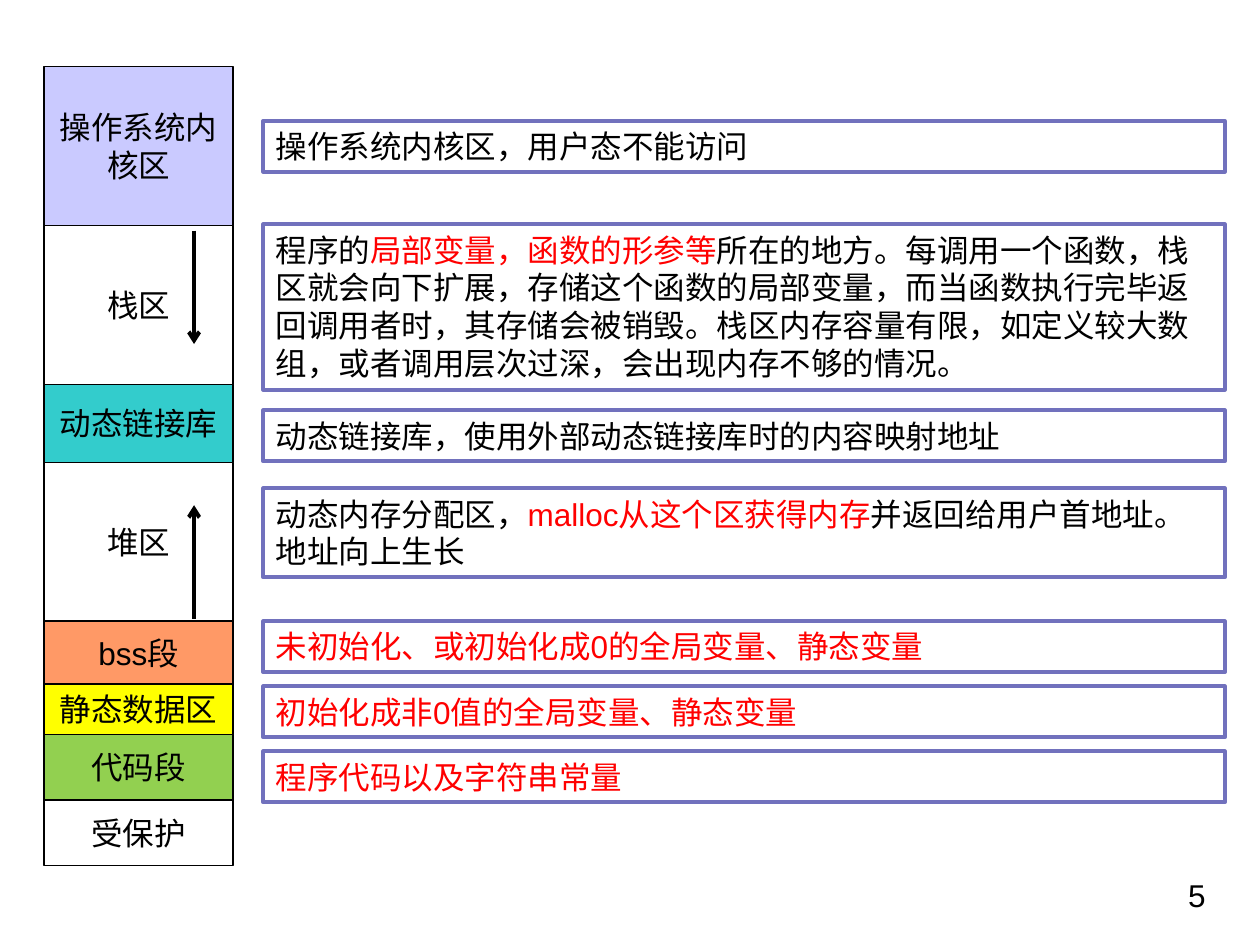
import pptx
import pptx.dml.color
import pptx.enum.shapes
import pptx.enum.text
import pptx.oxml.ns
import pptx.util
from lxml import etree

Pt = pptx.util.Pt
RGBColor = pptx.dml.color.RGBColor
Align = pptx.enum.text.PP_ALIGN
Anchor = pptx.enum.text.MSO_ANCHOR
AutoSize = pptx.enum.text.MSO_AUTO_SIZE
qn = pptx.oxml.ns.qn

BLACK = RGBColor(0x00, 0x00, 0x00)
WHITE = RGBColor(0xFF, 0xFF, 0xFF)
RED = RGBColor(0xFF, 0x00, 0x00)
LAVENDER = RGBColor(0xCA, 0xCA, 0xFF)
TEAL = RGBColor(0x33, 0xCC, 0xCC)
ORANGE = RGBColor(0xFF, 0x99, 0x66)
YELLOW = RGBColor(0xFF, 0xFF, 0x00)
GREEN = RGBColor(0x92, 0xD0, 0x50)
VIOLET = RGBColor(0x71, 0x71, 0xBD)

MEMORY_LEFT, MEMORY_TOP, MEMORY_WIDTH = 25.2, 38.16, 108
NOTE_LEFT, NOTE_WIDTH = 150.5, 549.4
ARROW_X = 110.9

SEGMENTS = [
    ("操作系统内核区", 90.72, LAVENDER),
    ("栈区", 90.72, WHITE),
    ("动态链接库", 44.64, TEAL),
    ("堆区", 90.72, WHITE),
    ("bss段", 36, ORANGE),
    ("静态数据区", 28.8, YELLOW),
    ("代码段", 37.44, GREEN),
    ("受保护", 37.44, WHITE),
]

NOTES = [
    (69.1, 29.1, [("操作系统内核区，用户态不能访问", BLACK)]),
    (128.2, 94.5, [
        ("程序的", BLACK),
        ("局部变量，函数的形参等", RED),
        ("所在的地方。每调用一个函数，栈区就会向下扩展，存储这个函数的局部变量，"
         "而当函数执行完毕返回调用者时，其存储会被销毁。栈区内存容量有限，"
         "如定义较大数组，或者调用层次过深，会出现内存不够的情况。", BLACK),
    ]),
    (234.5, 29.1, [("动态链接库，使用外部动态链接库时的内容映射地址", BLACK)]),
    (279.1, 50.9, [
        ("动态内存分配区，", BLACK),
        ("malloc从这个区获得内存", RED),
        ("并返回给用户首地址。地址向上生长", BLACK),
    ]),
    (355, 29.1, [("未初始化、或初始化成0的全局变量、静态变量", RED)]),
    (392.2, 29.1, [("初始化成非0值的全局变量、静态变量", RED)]),
    (429.4, 29.1, [("程序代码以及字符串常量", RED)]),
]


def write_text(frame, runs, *, size, font, align=Align.LEFT,
               anchor=Anchor.TOP, auto_size=AutoSize.NONE):
    frame.word_wrap = True
    frame.auto_size = auto_size
    frame.vertical_anchor = anchor
    paragraph = frame.paragraphs[0]
    paragraph.alignment = align
    for words, color in runs:
        run = paragraph.add_run()
        run.text = words
        run.font.name = font
        run.font.size = Pt(size)
        run.font.color.rgb = color


class MemorySlide:
    font = "Arial"
    size = 18
    thin, thick = 0.75, 2.25

    def __init__(self, slide):
        self.shapes = slide.shapes

    def rectangle(self, left, top, width, height, line_color, line_width):
        box = self.shapes.add_shape(
            pptx.enum.shapes.MSO_SHAPE.RECTANGLE,
            Pt(left), Pt(top), Pt(width), Pt(height))
        box.shadow.inherit = False
        box.line.color.rgb = line_color
        box.line.width = Pt(line_width)
        return box

    def segment(self, label, top, height, color):
        block = self.rectangle(MEMORY_LEFT, top, MEMORY_WIDTH, height, BLACK, self.thin)
        block.fill.solid()
        block.fill.fore_color.rgb = color
        write_text(block.text_frame, [(label, BLACK)], size=self.size, font=self.font,
                   align=Align.CENTER, anchor=Anchor.MIDDLE)

    def note(self, top, height, runs):
        frame = self.rectangle(NOTE_LEFT, top, NOTE_WIDTH, height, VIOLET, self.thick)
        frame.fill.background()
        write_text(frame.text_frame, runs, size=self.size, font=self.font,
                   auto_size=AutoSize.SHAPE_TO_FIT_TEXT)

    def growth_arrow(self, start, end):
        arrow = self.shapes.add_connector(
            pptx.enum.shapes.MSO_CONNECTOR.STRAIGHT,
            Pt(ARROW_X), Pt(start), Pt(ARROW_X), Pt(end))
        arrow.line.color.rgb = BLACK
        arrow.line.width = Pt(self.thick)
        etree.SubElement(arrow.line._get_or_add_ln(), qn("a:tailEnd"), type="arrow")
        etree.SubElement(arrow._element.spPr, qn("a:effectLst"))

    def page_number(self, number):
        corner = self.shapes.add_textbox(Pt(671.8), Pt(496.8), Pt(39.6), Pt(29.1))
        write_text(corner.text_frame, [(number, BLACK)], size=self.size, font=self.font,
                   auto_size=AutoSize.SHAPE_TO_FIT_TEXT)


def main():
    deck = pptx.Presentation()
    deck.slide_width, deck.slide_height = Pt(720), Pt(540)
    memory = MemorySlide(deck.slides.add_slide(deck.slide_layouts[6]))

    memory.page_number("5")
    top = MEMORY_TOP
    for label, height, color in SEGMENTS:
        memory.segment(label, top, height, color)
        top += height
    memory.growth_arrow(131.8, 196.6)
    memory.growth_arrow(353.5, 288.7)
    for note in NOTES:
        memory.note(*note)

    deck.save("out.pptx")


if __name__ == "__main__":
    main()
